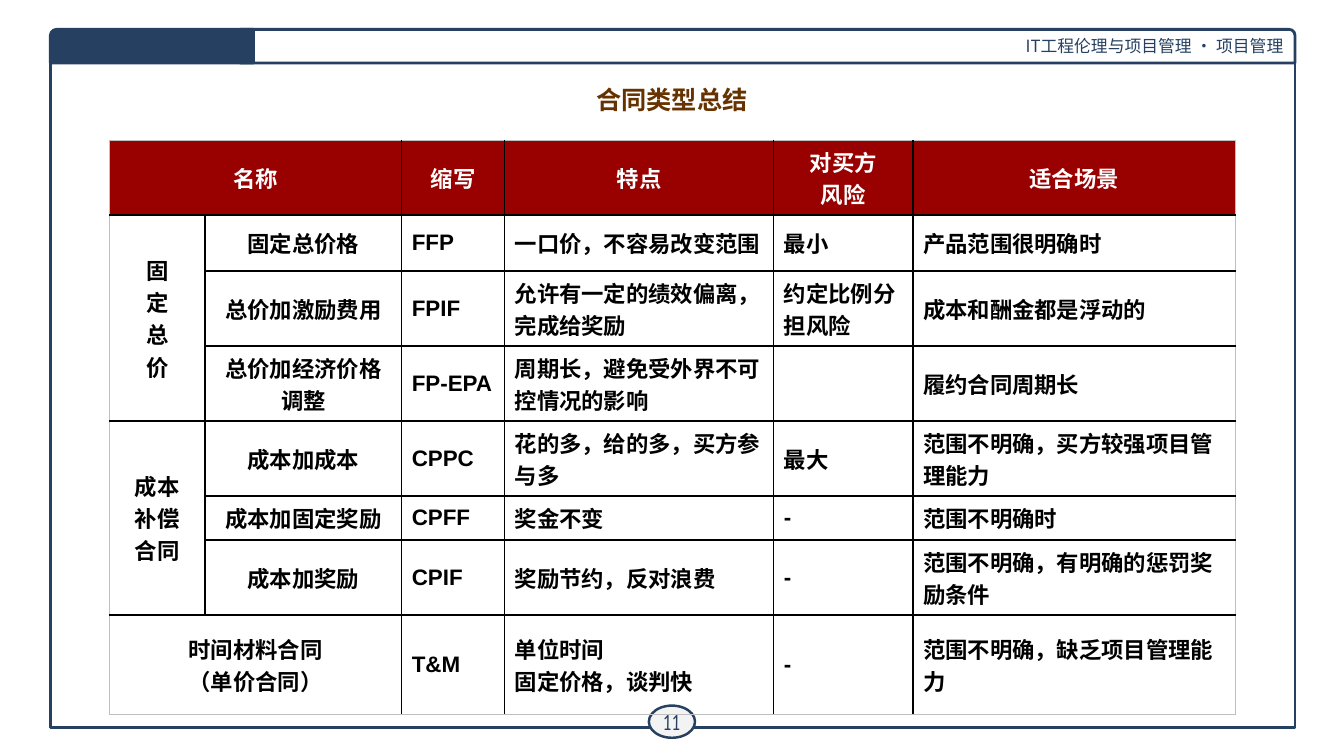
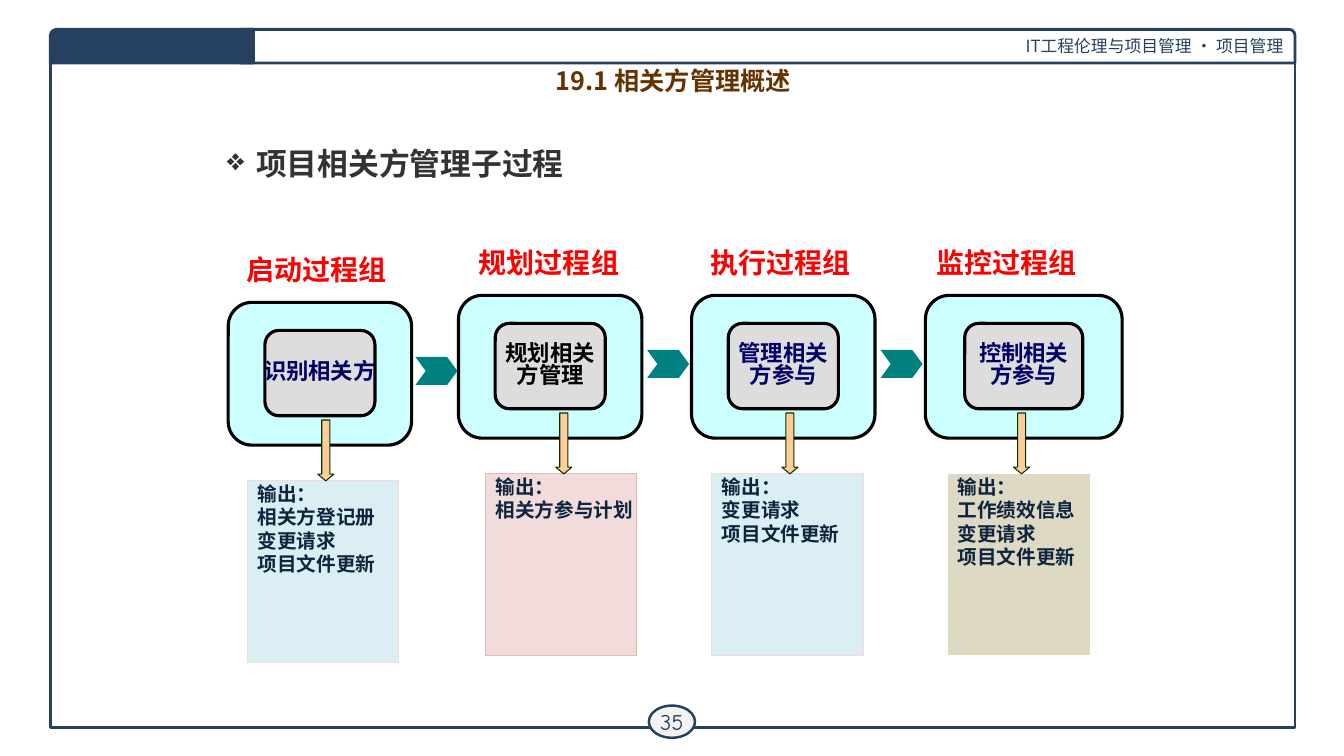
"""Build two project management slides: contract types and stakeholder processes."""
from dataclasses import dataclass

from lxml import etree
from pptx import Presentation
from pptx import util as u
from pptx.dml import color
from pptx.enum import shapes, text
from pptx.oxml import ns

Pt = u.Pt
SHAPE = shapes.MSO_SHAPE
ALIGN = text.PP_ALIGN
ANCHOR = text.MSO_ANCHOR


@dataclass(frozen=True)
class Theme:
    navy: str = "254061"
    white: str = "FFFFFF"
    black: str = "000000"
    badge: str = "F3F3F3"
    title: str = "663300"
    body: str = "333333"
    table_head: str = "990000"
    table_edge: str = "BFBFBF"
    group: str = "FF0000"
    process: str = "CCFFFF"
    step: str = "DDDDDD"
    step_text: str = "000066"
    chevron: str = "008080"
    arrow: str = "FFCC99"
    arrow_line: str = "003300"
    output_text: str = "0F243E"
    blue: str = "DBEEF4"
    pink: str = "F2DCDB"
    rose: str = "E6B9B8"
    tan: str = "DDD9C3"
    sans: str = "Noto Sans CJK SC"
    serif: str = "TeX Gyre Schola"
    table_font: str = "Arial"
    number_font: str = "Comic Neue"
    header_size: float = 12
    output_size: float = 14
    base_size: float = 16
    title_size: float = 18
    group_size: float = 20
    body_size: float = 22
    tight: float = 0.83


THEME = Theme()


def rgb(value):
    return color.RGBColor.from_string(value)


class Deck:
    def __init__(self, theme):
        self.theme = theme
        self.presentation = Presentation()
        self.presentation.slide_width = Pt(960)
        self.presentation.slide_height = Pt(540)
        self.slide = None

    def set_text(self, frame, words, size, ink, font=None, bold=True, align=ALIGN.LEFT,
                 spacing=None, before=0, bullet=None):
        frame.text = words
        for index, paragraph in enumerate(frame.paragraphs):
            paragraph.alignment = align
            if spacing:
                paragraph.line_spacing = spacing
            if before and index:
                paragraph.space_before = Pt(before)
            properties = paragraph._p.get_or_add_pPr()
            if bullet:
                properties.set("marL", str(Pt(21)))
                properties.set("indent", str(Pt(-21)))
                etree.SubElement(properties, ns.qn("a:buChar"), char=bullet)
            paragraph.font.size = Pt(size)
            paragraph.font.bold = bold
            paragraph.font.name = font or self.theme.sans
            paragraph.font.color.rgb = rgb(ink)
            etree.SubElement(properties.find(ns.qn("a:defRPr")), ns.qn("a:ea"),
                             typeface=self.theme.sans)

    def shape(self, kind, box, fill=None, line=None, width=0.75, adjustments=()):
        shape = self.slide.shapes.add_shape(kind, *map(Pt, box))
        shape.shadow.inherit = False
        for index, value in enumerate(adjustments):
            shape.adjustments[index] = value
        if fill:
            shape.fill.solid()
            shape.fill.fore_color.rgb = rgb(fill)
        else:
            shape.fill.background()
        if line:
            shape.line.color.rgb = rgb(line)
            shape.line.width = Pt(width)
        else:
            shape.line.fill.background()
        return shape

    def label(self, shape, words, size, ink, anchor=ANCHOR.MIDDLE, wrap=False, **style):
        frame = shape.text_frame
        frame.word_wrap = wrap
        frame.vertical_anchor = anchor
        self.set_text(frame, words, size, ink, **style)
        return frame

    def textbox(self, box, words, size, ink, **style):
        shape = self.slide.shapes.add_textbox(*map(Pt, box))
        self.label(shape, words, size, ink, anchor=ANCHOR.TOP, **style)

    def add_slide(self, number, title, box, font):
        theme = self.theme
        self.slide = self.presentation.slides.add_slide(self.presentation.slide_layouts[5])
        self.shape(SHAPE.RECTANGLE, (36, 36, 889, 484), line=theme.navy, width=2)
        header = self.shape(SHAPE.ROUND_1_RECTANGLE, (171.5, 21, 753.5, 24),
                            theme.white, theme.navy, 2)
        self.label(header, "IT工程伦理与项目管理 · 项目管理", theme.header_size, theme.navy,
                   bold=False, align=ALIGN.RIGHT, wrap=True)
        badge = self.shape(SHAPE.OVAL, (463.5, 504, 33, 23), theme.badge, theme.navy, 1.75)
        frame = self.label(badge, str(number), theme.base_size, theme.navy,
                           font=theme.number_font, bold=False, align=ALIGN.CENTER)
        frame.margin_left = frame.margin_right = Pt(3)
        frame.margin_top = frame.margin_bottom = Pt(3)
        tab = self.shape(SHAPE.ROUND_1_RECTANGLE, (36, 21, 145, 24), theme.navy, theme.navy, 2,
                         adjustments=[0.175])
        tab._element.spPr.find(ns.qn("a:xfrm")).set("flipH", "1")
        self.title(title, box, font)

    def title(self, words, box, font):
        title = self.slide.shapes.title
        title.left, title.top, title.width, title.height = map(Pt, box)
        title.text_frame.auto_size = text.MSO_AUTO_SIZE.NONE
        self.label(title, words, self.theme.title_size, self.theme.title, font=font,
                   align=ALIGN.CENTER, anchor=ANCHOR.TOP, wrap=True, spacing=self.theme.tight)

    def border(self, cell, sides):
        properties = cell._tc.get_or_add_tcPr()
        for side, outer in sides.items():
            line = etree.SubElement(properties, ns.qn("a:ln" + side),
                                    w=str(Pt(0.5 if outer else 1)))
            fill = etree.SubElement(line, ns.qn("a:solidFill"))
            etree.SubElement(fill, ns.qn("a:srgbClr"),
                             val=self.theme.table_edge if outer else self.theme.black)

    def table(self, origin, widths, heights, rows, merges):
        theme = self.theme
        last_row, last_column = len(heights) - 1, len(widths) - 1
        table = self.slide.shapes.add_table(
            len(heights), len(widths), *map(Pt, (*origin, sum(widths), sum(heights)))).table
        table.first_row = table.horz_banding = False
        for column, width in zip(table.columns, widths):
            column.width = Pt(width)
        for row, height in zip(table.rows, heights):
            row.height = Pt(height)
        for r, row in enumerate(rows):
            for c, words in enumerate(row):
                cell = table.cell(r, c)
                self.border(cell, {"L": c == 0, "R": c == last_column,
                                   "T": r == 0, "B": r == last_row})
                cell.vertical_anchor = ANCHOR.MIDDLE
                if r:
                    cell.fill.background()
                else:
                    cell.fill.solid()
                    cell.fill.fore_color.rgb = rgb(theme.table_head)
                self.set_text(cell.text_frame, words, theme.base_size,
                              theme.black if r else theme.white, font=theme.table_font,
                              align=ALIGN.LEFT if r and c > 1 else ALIGN.CENTER)
        for first, last in merges:
            table.cell(*first).merge(table.cell(*last))

    def process(self, left, top, width, group, step, ink):
        theme = self.theme
        self.shape(SHAPE.FLOWCHART_ALTERNATE_PROCESS, (left, top, width, 102),
                   theme.process, theme.black, 2.25)
        step_width = width * 0.6
        inner = self.shape(SHAPE.FLOWCHART_ALTERNATE_PROCESS,
                           (left + (width - step_width) / 2, top + 20, step_width, 61),
                           theme.step, theme.black, 2.25)
        self.label(inner, step, theme.base_size, ink, align=ALIGN.CENTER, spacing=theme.tight)
        group_left, words = group
        self.textbox((group_left, top - 35, 116, 32), words, theme.group_size, theme.group,
                     spacing=theme.tight)

    def output(self, left, top, width, words, fill, line):
        theme = self.theme
        box = self.shape(SHAPE.RECTANGLE, (left, top, width, 130), fill, line)
        self.label(box, "输出：\n" + words, theme.output_size, theme.output_text,
                   anchor=ANCHOR.TOP, spacing=theme.tight, before=2.8)
        self.shape(SHAPE.DOWN_ARROW, (left + width / 2 - 4, top - 43.5, 11.5, 43.5),
                   theme.arrow, theme.arrow_line, adjustments=[0.5, 0.417])

    def chevron(self, center, top):
        self.shape(SHAPE.CHEVRON, (center - 14, top, 30, 20), self.theme.chevron,
                   adjustments=[0.366])


CONTRACT_ROWS = [
    ["名称", "", "缩写", "特点", "对买方\n风险", "适合场景"],
    ["固\n定\n总\n价", "固定总价格", "FFP", "一口价，不容易改变范围", "最小", "产品范围很明确时"],
    ["", "总价加激励费用", "FPIF", "允许有一定的绩效偏离，完成给奖励", "约定比例分担风险",
     "成本和酬金都是浮动的"],
    ["", "总价加经济价格调整", "FP-EPA", "周期长，避免受外界不可控情况的影响", "", "履约合同周期长"],
    ["成本\n补偿\n合同", "成本加成本", "CPPC", "花的多，给的多，买方参与多", "最大",
     "范围不明确，买方较强项目管理能力"],
    ["", "成本加固定奖励", "CPFF", "奖金不变", "-", "范围不明确时"],
    ["", "成本加奖励", "CPIF", "奖励节约，反对浪费", "-", "范围不明确，有明确的惩罚奖励条件"],
    ["时间材料合同\n（单价合同）", "", "T&M", "单位时间\n固定价格，谈判快", "-",
     "范围不明确，缺乏项目管理能力"],
]
CONTRACT_MERGES = [((0, 0), (0, 1)), ((1, 0), (3, 0)), ((4, 0), (6, 0)), ((7, 0), (7, 1))]

STAGES = [
    (163, 216, 131, (169, "启动过程组"), "识别相关方", THEME.step_text,
     (177, 108, "相关方登记册\n变更请求\n项目文件更新", THEME.blue, THEME.pink)),
    (327.5, 211, 131, (335, "规划过程组"), "规划相关\n方管理", THEME.black,
     (347, 108, "相关方参与计划", THEME.pink, THEME.rose)),
    (494, 211, 131, (500.5, "执行过程组"), "管理相关\n方参与", THEME.step_text,
     (508.5, 108, "变更请求\n项目文件更新", THEME.blue, THEME.pink)),
    (661, 211, 140.5, (662, "监控过程组"), "控制相关\n方参与", THEME.step_text,
     (677, 102, "工作绩效信息\n变更请求\n项目文件更新", THEME.tan, THEME.white)),
]


def contract_slide(deck):
    deck.add_slide(11, "合同类型总结", (156, 60.5, 648, 34.5), THEME.serif)
    deck.table((78, 100), [68.5, 140.5, 73.5, 192.2, 99.5, 230.5],
               [53.6, 40, 53.6, 53.6, 53.6, 31.4, 53.6, 71], CONTRACT_ROWS, CONTRACT_MERGES)


def stakeholder_slide(deck):
    deck.add_slide(35, "19.1 相关方管理概述", (157, 47, 648, 28), THEME.sans)
    deck.textbox((155, 92, 648, 60), "项目相关方管理子过程", THEME.body_size, THEME.body,
                 wrap=True, spacing=1.3, bullet="❖")
    for left, top, width, group, step, ink, (output_left, output_width, *output) in STAGES:
        deck.process(left, top, width, group, step, ink)
        deck.output(output_left, top + 127.5, output_width, *output)
    for stage, following in zip(STAGES, STAGES[1:]):
        left, top, width = stage[:3]
        deck.chevron((left + width + following[0]) / 2, top + 39)


def main():
    deck = Deck(THEME)
    contract_slide(deck)
    stakeholder_slide(deck)
    deck.presentation.save("out.pptx")


if __name__ == "__main__":
    main()
